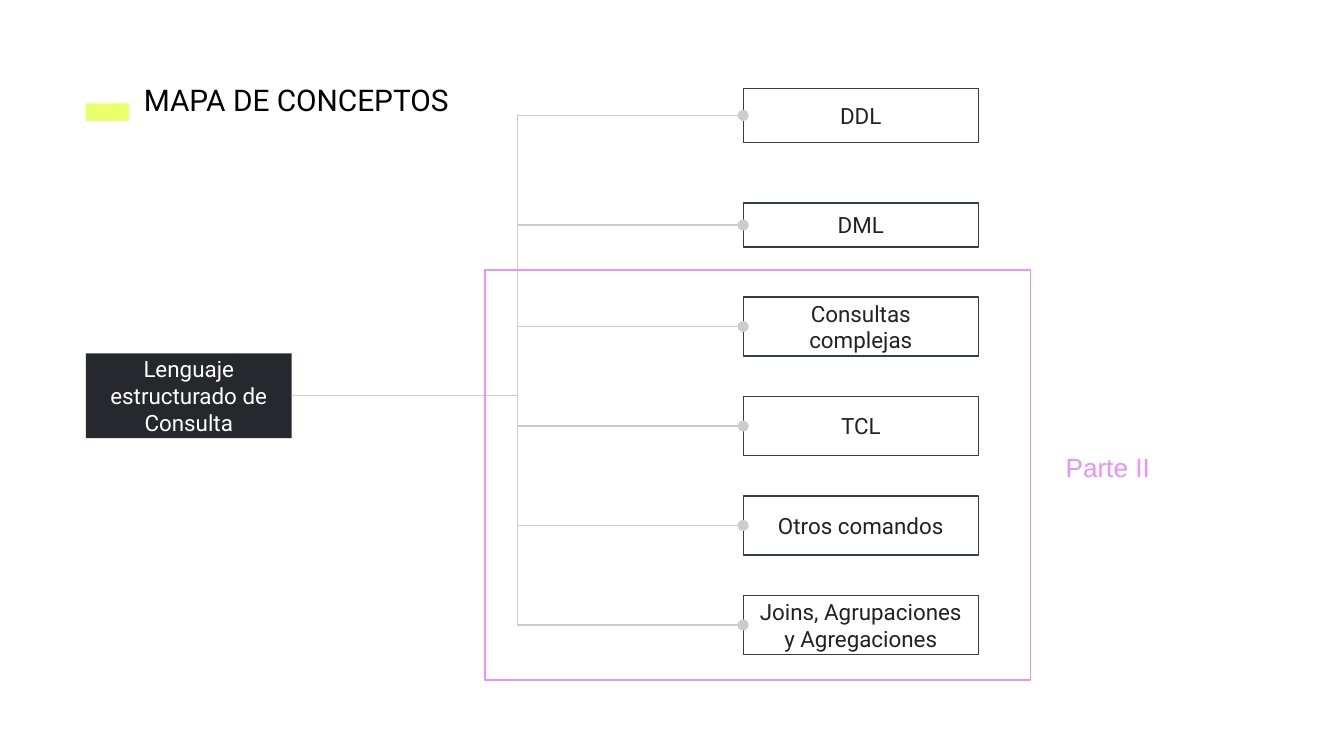
from lxml import etree
from pptx import Presentation
from pptx.dml.color import RGBColor
from pptx.enum.shapes import MSO_CONNECTOR, MSO_SHAPE
from pptx.enum.text import MSO_ANCHOR, MSO_AUTO_SIZE, PP_ALIGN
from pptx.oxml.ns import qn
from pptx.util import Inches, Pt

RECTANGLE, ELBOW = MSO_SHAPE.RECTANGLE, MSO_CONNECTOR.ELBOW
TOP, MIDDLE = MSO_ANCHOR.TOP, MSO_ANCHOR.MIDDLE
LEFT, CENTER = PP_ALIGN.LEFT, PP_ALIGN.CENTER
LEFT_SITE, RIGHT_SITE = 1, 3

COLORS = {
    "accent": "EAFF6A", "title": "000000", "root": "27282D", "root_text": "FFFFFF",
    "border": "393B43", "text": "222222", "link": "CCCCCC", "part": "EA90FF",
}
BRANCH_X, BRANCH_WIDTH = 5.53, 1.75
EVEN_TOP, EVEN_STEP, EVEN_HEIGHT = 2.21, 0.74, 0.44
EVEN_BRANCHES = ["Consultas complejas", "TCL", "Otros comandos",
                 "Joins, Agrupaciones y Agregaciones"]
BRANCHES = [("DDL", 0.66, 0.4), ("DML", 1.51, 0.33)] + [
    (label, EVEN_TOP + i * EVEN_STEP, EVEN_HEIGHT)
    for i, label in enumerate(EVEN_BRANCHES)
]


def color(name):
    return RGBColor.from_string(COLORS[name])


def write(shape, text, size, ink, font="Roboto", align=LEFT, anchor=TOP):
    frame = shape.text_frame
    frame.word_wrap = True
    frame.auto_size = MSO_AUTO_SIZE.NONE
    frame.vertical_anchor = anchor
    frame.margin_left = frame.margin_right = Inches(0.1)
    frame.margin_top = frame.margin_bottom = Inches(0.1)
    paragraph = frame.paragraphs[0]
    paragraph.alignment = align
    run = paragraph.add_run()
    run.text = text
    run.font.size = Pt(size)
    run.font.name = font
    run.font.color.rgb = color(ink)


def add_box(slide, box, fill=None, border=None):
    """Add a flat rectangle; without fill or border that part stays empty."""
    shape = slide.shapes.add_shape(RECTANGLE, *map(Inches, box))
    shape.shadow.inherit = False
    if fill:
        shape.fill.solid()
        shape.fill.fore_color.rgb = color(fill)
    else:
        shape.fill.background()
    if border:
        shape.line.color.rgb = color(border)
        shape.line.width = Pt(0.75)
    else:
        shape.line.fill.background()
    return shape


def add_link(slide, root, branch):
    """Join root to branch with an elbow line that ends in a dot."""
    link = slide.shapes.add_connector(ELBOW, 0, 0, 0, 0)
    link.begin_connect(root, RIGHT_SITE)
    link.end_connect(branch, LEFT_SITE)
    link.line.color.rgb = color("link")
    link.line.width = Pt(0.75)
    properties = link._element.spPr
    outline = properties.find(qn("a:ln"))
    etree.SubElement(outline, qn("a:tailEnd"), type="oval", w="med", len="med")
    etree.SubElement(properties, qn("a:effectLst"))


def add_heading(slide, box):
    left, top, width, height = box
    add_box(slide, (left, top + 0.26, 0.32, 0.13), fill="accent")
    title = slide.shapes.title
    title.left, title.top = Inches(left + 0.33), Inches(top)
    title.width, title.height = Inches(width - 0.33), Inches(height)
    write(title, "MAPA DE CONCEPTOS", 16, "title")


def add_concept_tree(slide, root_box):
    root = add_box(slide, root_box, fill="root")
    write(root, "Lenguaje estructurado de Consulta", 12, "root_text",
          align=CENTER, anchor=MIDDLE)
    for label, top, height in BRANCHES:
        branch = add_box(slide, (BRANCH_X, top, BRANCH_WIDTH, height), border="border")
        write(branch, label, 12, "text", align=CENTER, anchor=MIDDLE)
        add_link(slide, root, branch)


def add_part_frame(slide, box):
    """Outline the second part and label it at its right."""
    left, top, width, height = box
    add_box(slide, box, border="part")
    label = slide.shapes.add_textbox(
        Inches(left + width + 0.16), Inches(top + 1.25), Inches(1.42), Inches(0.44))
    write(label, "Parte II", 14, "part", font="Arial")


def main():
    deck = Presentation()
    deck.slide_width, deck.slide_height = Inches(10), Inches(10 * 9 / 16)
    slide = deck.slides.add_slide(deck.slide_layouts.get_by_name("Title Only"))
    add_heading(slide, (0.64, 0.51, 3.02, 0.47))
    add_concept_tree(slide, (0.64, 2.63, 1.53, 0.63))
    add_part_frame(slide, (3.61, 2.01, 4.06, 3.05))
    deck.save("out.pptx")


if __name__ == "__main__":
    main()
